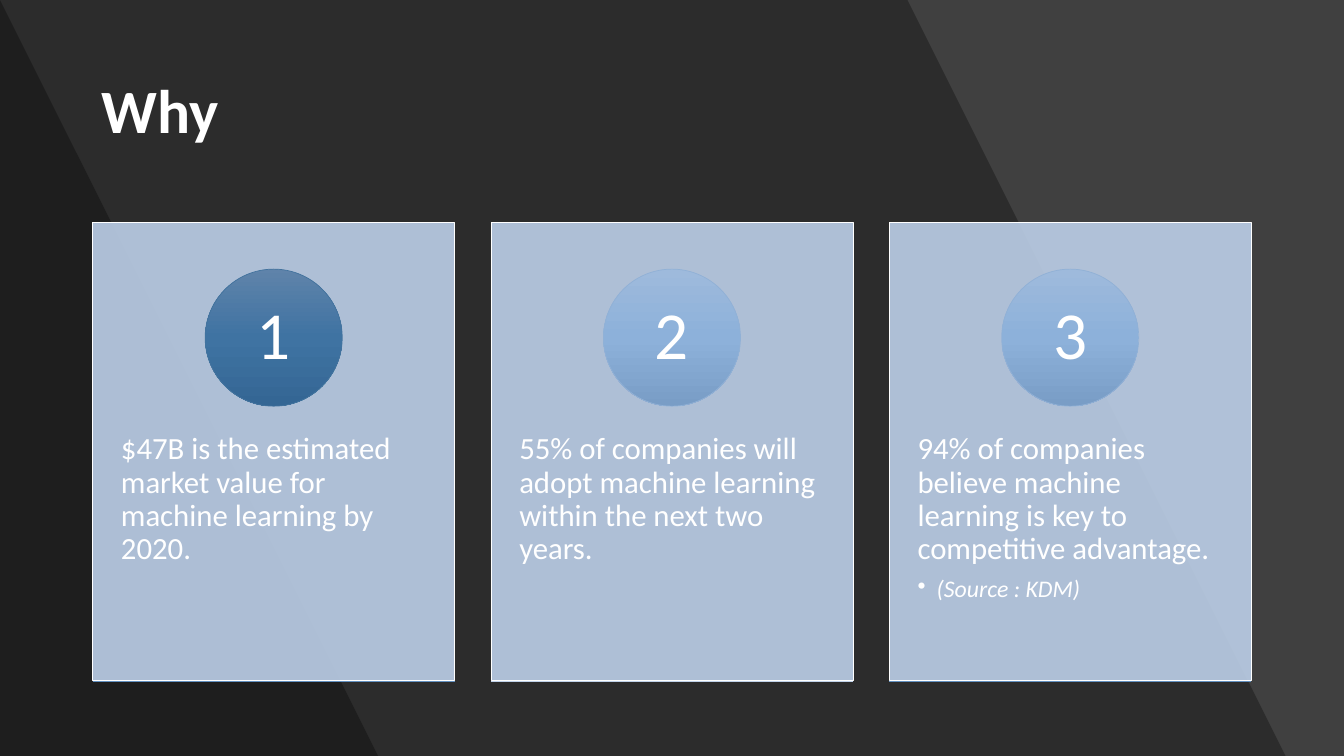
"""Build a dark slide with three numbered cards on why machine learning matters."""
from lxml import etree
from pptx import Presentation
from pptx.dml.color import RGBColor
from pptx.enum.shapes import MSO_CONNECTOR, MSO_SHAPE
from pptx.enum.text import MSO_ANCHOR, PP_ALIGN
from pptx.oxml.ns import qn
from pptx.util import Inches, Pt

RECTANGLE, OVAL = MSO_SHAPE.RECTANGLE, MSO_SHAPE.OVAL
STRAIGHT = MSO_CONNECTOR.STRAIGHT
TOP, MIDDLE = MSO_ANCHOR.TOP, MSO_ANCHOR.MIDDLE
LEFT, CENTER = PP_ALIGN.LEFT, PP_ALIGN.CENTER

WHITE = RGBColor(0xFF, 0xFF, 0xFF)
BLACK = RGBColor(0x00, 0x00, 0x00)
BACKGROUND = RGBColor(0x40, 0x40, 0x40)
CARD_BLUE = RGBColor(0xBD, 0xD0, 0xE9)
DARK_STOPS = [RGBColor(0x5F, 0x83, 0xAA), RGBColor(0x3F, 0x73, 0xA2), RGBColor(0x34, 0x66, 0x94)]
LIGHT_STOPS = [RGBColor(0x9E, 0xBA, 0xDC), RGBColor(0x8D, 0xB1, 0xDA), RGBColor(0x79, 0x9D, 0xC6)]
DARK_EDGE = RGBColor(0x43, 0x73, 0x9E)
LIGHT_EDGE = RGBColor(0x91, 0xB1, 0xD6)
STRONG_BASE = RGBColor(0x63, 0x91, 0xC1)
PALE_BASE = RGBColor(0xC0, 0xD2, 0xEA)

FONT = "Calibri"
WIDTH, HEIGHT = 13.33, 7.5
CARD_LEFT, CARD_TOP, CARD_STEP = 0.92, 2.21, 3.95
CARD_WIDTH, CARD_HEIGHT = 3.59, 4.54
TEXT_TOP, TEXT_HEIGHT = 3.94, 2.73
CIRCLE_TOP, CIRCLE_SIZE = 2.67, 1.36
BASE_TOP = 6.76

CARDS = [
    ("$47B is the estimated market value for machine learning by 2020.", None,
     DARK_STOPS, DARK_EDGE, STRONG_BASE),
    ("55% of companies will adopt machine learning within the next two years.", None,
     LIGHT_STOPS, LIGHT_EDGE, PALE_BASE),
    ("94% of companies believe machine learning is key to competitive advantage.",
     "(Source : KDM)", LIGHT_STOPS, LIGHT_EDGE, STRONG_BASE),
]


def fill_solid(shape, color, opacity):
    """Fill a shape with a partly transparent colour."""
    shape.shadow.inherit = False
    shape.fill.solid()
    shape.fill.fore_color.rgb = color
    color_element = shape.fill._xPr.find(qn("a:solidFill"))[0]
    etree.SubElement(color_element, qn("a:alpha"), val=str(opacity * 1000))


def fill_gradient(shape, colors):
    """Fill a shape from top to bottom with evenly spaced colours."""
    shape.shadow.inherit = False
    shape.fill.gradient()
    gradient = shape.fill._xPr.find(qn("a:gradFill"))
    for child in list(gradient):
        gradient.remove(child)
    stops = etree.SubElement(gradient, qn("a:gsLst"))
    for index, color in enumerate(colors):
        position = 100000 * index // (len(colors) - 1)
        stop = etree.SubElement(stops, qn("a:gs"), pos=str(position))
        etree.SubElement(stop, qn("a:srgbClr"), val=str(color))
    etree.SubElement(gradient, qn("a:lin"), ang="5400000", scaled="0")


def set_line(shape, color):
    """Give a shape or connector a hairline."""
    shape.line.color.rgb = color
    shape.line.width = Pt(0.5)


def add_band(slide, top_right, bottom_right):
    """Add a slanted translucent band from the left edge."""
    builder = slide.shapes.build_freeform(0, 0, scale=Inches(1))
    builder.add_line_segments([(top_right, 0), (bottom_right, HEIGHT), (0, HEIGHT)])
    band = builder.convert_to_shape()
    fill_solid(band, BLACK, 30)
    band.line.fill.background()


def add_text_box(slide, box, anchor, insets):
    """Add a wrapping text box and return its frame."""
    frame = slide.shapes.add_textbox(*map(Inches, box)).text_frame
    frame.word_wrap = True
    frame.vertical_anchor = anchor
    frame.margin_left = frame.margin_right = Inches(insets[0])
    frame.margin_top = frame.margin_bottom = Inches(insets[1])
    return frame


def write(paragraph, text, size, alignment=LEFT, space_after=0.0, bold=False, italic=False):
    """Write one run of white text into a paragraph."""
    paragraph.alignment = alignment
    paragraph.line_spacing = 0.9
    paragraph.space_after = Pt(space_after)
    run = paragraph.add_run()
    run.text = text
    font = run.font
    font.name, font.size, font.bold, font.italic = FONT, Pt(size), bold, italic
    font.color.rgb = WHITE


def add_bullet(paragraph):
    """Give a paragraph a round bullet with a hanging indent."""
    properties = paragraph._p.get_or_add_pPr()
    properties.set("marL", str(Inches(0.19)))
    properties.set("indent", str(Inches(-0.19)))
    etree.SubElement(properties, qn("a:buChar"), char="•")


def add_circle(slide, left, number, stops, edge):
    """Add a numbered gradient circle."""
    box = (left, CIRCLE_TOP, CIRCLE_SIZE, CIRCLE_SIZE)
    circle = slide.shapes.add_shape(OVAL, *map(Inches, box))
    fill_gradient(circle, stops)
    set_line(circle, edge)
    inset = 0.2
    inner = CIRCLE_SIZE - 2 * inset
    frame = add_text_box(slide, (left + inset, CIRCLE_TOP + inset, inner, inner),
                         MIDDLE, (0.11, 0.01))
    write(frame.paragraphs[0], str(number), 48, CENTER)


def add_base_line(slide, left, color):
    """Add the thin line under a card."""
    ends = (left, BASE_TOP, left + CARD_WIDTH, BASE_TOP)
    line = slide.shapes.add_connector(STRAIGHT, *map(Inches, ends))
    set_line(line, color)
    etree.SubElement(line._element.spPr, qn("a:effectLst"))


def add_card(slide, index, statement, source, stops, edge, base):
    """Add one card with its statement, circle and base line."""
    left = CARD_LEFT + index * CARD_STEP
    box = (left, CARD_TOP, CARD_WIDTH, CARD_HEIGHT)
    card = slide.shapes.add_shape(RECTANGLE, *map(Inches, box))
    fill_solid(card, CARD_BLUE, 90)
    set_line(card, WHITE)
    frame = add_text_box(slide, (left, TEXT_TOP, CARD_WIDTH, TEXT_HEIGHT), TOP, (0.28, 0.36))
    write(frame.paragraphs[0], statement, 22, space_after=7.7)
    if source:
        paragraph = frame.add_paragraph()
        paragraph.level = 1
        write(paragraph, source, 17, space_after=2.5, italic=True)
        add_bullet(paragraph)
    add_circle(slide, left + (CARD_WIDTH - CIRCLE_SIZE) / 2, index + 1, stops, edge)
    add_base_line(slide, left, base)


def main():
    """Build and save the slide."""
    presentation = Presentation()
    presentation.slide_width, presentation.slide_height = Inches(WIDTH), Inches(HEIGHT)
    slide = presentation.slides.add_slide(presentation.slide_layouts[6])
    slide.background.fill.solid()
    slide.background.fill.fore_color.rgb = BACKGROUND
    add_band(slide, 9.42, 12.89)
    add_band(slide, 0.44, 3.92)
    title = add_text_box(slide, (0.91, 0.4, 11.51, 1.45), MIDDLE, (0.1, 0.05))
    write(title.paragraphs[0], "Why", 44, bold=True)
    for index, card in enumerate(CARDS):
        add_card(slide, index, *card)
    presentation.save("out.pptx")


if __name__ == "__main__":
    main()
